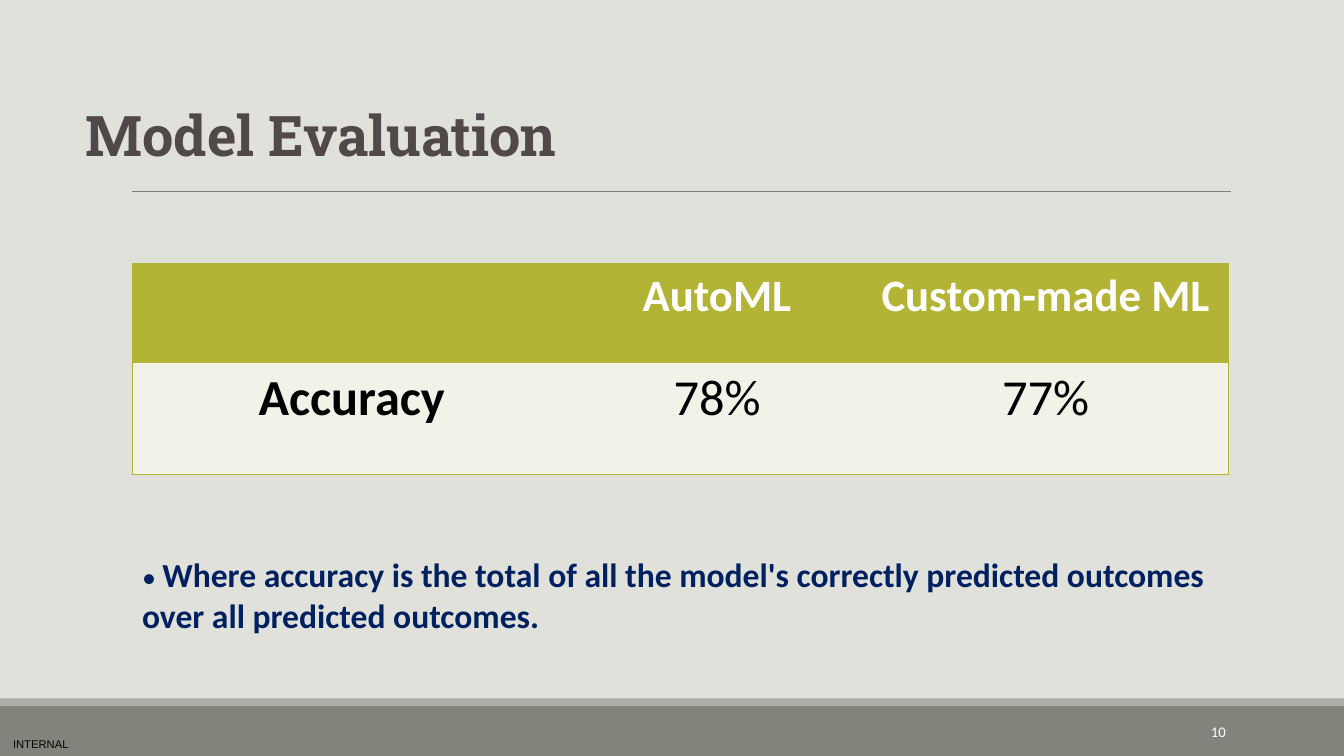
from lxml import etree
from pptx import Presentation
from pptx.dml.color import RGBColor
from pptx.enum.shapes import MSO_CONNECTOR, MSO_SHAPE
from pptx.enum.text import MSO_ANCHOR, MSO_AUTO_SIZE, PP_ALIGN
from pptx.oxml.ns import qn
from pptx.util import Cm, Pt

RECT, STRAIGHT = MSO_SHAPE.RECTANGLE, MSO_CONNECTOR.STRAIGHT
TOP, MIDDLE = MSO_ANCHOR.TOP, MSO_ANCHOR.MIDDLE
LEFT, CENTER, RIGHT = PP_ALIGN.LEFT, PP_ALIGN.CENTER, PP_ALIGN.RIGHT
NO_FIT = MSO_AUTO_SIZE.NONE

BACKDROP, BAR, STRIPE, RULE = "E1E1DB", "82847C", "ACADA8", "808080"
OLIVE, CREAM = "B3B435", "F2F2E8"
WHITE, BLACK, NAVY, BROWN = "FFFFFF", "000000", "002060", "514949"
WIDTH, HEIGHT = 33.87, 19.05


def rgb(value):
    return RGBColor.from_string(value)


class SlideBuilder:
    """Holds the deck style and the current slide, and adds each kind of element."""

    body_font = "Calibri"
    title_font = "Roboto Slab"

    def __init__(self, prs):
        self.s = prs.slides.add_slide(prs.slide_layouts[5])
        fill = self.s.background.fill
        fill.solid()
        fill.fore_color.rgb = rgb(BACKDROP)

    def style(self, r, size, color, bold=False, font=None):
        r.font.name = font or self.body_font
        r.font.size = Pt(size)
        r.font.bold = bold
        r.font.color.rgb = rgb(color)

    def title(self, text, x, y, w, h):
        sp = self.s.shapes.title
        sp.left, sp.top, sp.width, sp.height = Cm(x), Cm(y), Cm(w), Cm(h)
        tf = sp.text_frame
        tf.text = text
        tf.auto_size = NO_FIT
        tf.vertical_anchor = TOP
        tf.margin_left = tf.margin_right = 0
        p = tf.paragraphs[0]
        p.alignment = LEFT
        p.line_spacing = 0.9
        p.space_before, p.space_after = Pt(12), Pt(2)
        self.style(p.runs[0], 40, BROWN, True, self.title_font)

    def band(self, y, h, color):
        sp = self.s.shapes.add_shape(RECT, 0, Cm(y), Cm(WIDTH), Cm(h))
        sp.shadow.inherit = False
        sp.fill.solid()
        sp.fill.fore_color.rgb = rgb(color)
        sp.line.fill.background()

    def rule(self, x1, x2, y):
        line = self.s.shapes.add_connector(STRAIGHT, Cm(x1), Cm(y), Cm(x2), Cm(y))
        line.line.color.rgb = rgb(RULE)
        line.line.width = Pt(0.5)
        etree.SubElement(line._element.spPr, qn("a:effectLst"))

    def text(self, x, y, w, h, runs, align=LEFT, anchor=TOP, margin=0.25):
        tf = self.s.shapes.add_textbox(Cm(x), Cm(y), Cm(w), Cm(h)).text_frame
        tf.word_wrap = True
        tf.vertical_anchor = anchor
        tf.margin_left = tf.margin_right = Cm(margin)
        tf.margin_top = tf.margin_bottom = Cm(margin / 2)
        p = tf.paragraphs[0]
        p.alignment = align
        for text, *look in runs:
            r = p.add_run()
            r.text = text
            self.style(r, *look)

    def border(self, cell, side, visible):
        tcPr = cell._tc.get_or_add_tcPr()
        ln = etree.SubElement(tcPr, qn(f"a:ln{side}"), w=str(Pt(1)))
        if visible:
            fill = etree.SubElement(ln, qn("a:solidFill"))
            etree.SubElement(fill, qn("a:srgbClr"), val=OLIVE)
        else:
            etree.SubElement(ln, qn("a:noFill"))

    def table(self, x, y, widths, heights, rows):
        table = self.s.shapes.add_table(
            len(rows), len(widths), Cm(x), Cm(y), Cm(sum(widths)), Cm(sum(heights))
        ).table
        for column, w in zip(table.columns, widths):
            column.width = Cm(w)
        for i, texts in enumerate(rows):
            table.rows[i].height = Cm(heights[i])
            header = i == 0
            for j, text in enumerate(texts):
                cell = table.cell(i, j)
                self.border(cell, "L", j == 0)
                self.border(cell, "R", j == len(widths) - 1)
                self.border(cell, "T", True)
                self.border(cell, "B", True)
                cell.fill.solid()
                cell.fill.fore_color.rgb = rgb(OLIVE if header else CREAM)
                if text:
                    cell.text = text
                    p = cell.text_frame.paragraphs[0]
                    p.alignment = CENTER
                    size, color = (32, WHITE) if header else (36, BLACK)
                    self.style(p.runs[0], size, color, header or j == 0)


def main():
    prs = Presentation()
    prs.slide_width, prs.slide_height = Cm(WIDTH), Cm(HEIGHT)
    b = SlideBuilder(prs)
    b.band(17.78, 1.27, BAR)
    b.band(17.6, 0.18, STRIPE)
    b.rule(3.33, 31.01, 4.83)
    b.text(0, 18.44, 2.06, 0.61, [("INTERNAL", 8, BLACK, False, "Arial")],
           CENTER, MIDDLE, 0)
    b.text(27.51, 17.93, 3.63, 1.02, [("10", 10.5, WHITE)], RIGHT, MIDDLE)
    b.title("Model Evaluation", 2.16, 2.59, 13.51, 2.08)
    b.table(3.33, 6.65, [11.07, 7.34, 9.22], [2.49, 2.82], [
        ["", "AutoML", "Custom-made ML"],
        ["Accuracy", "78%", "77%"],
    ])
    note = ("Where accuracy is the total of all the model's correctly predicted "
            "outcomes over all predicted outcomes.")
    b.text(3.33, 13.84, 28.35, 2.31, [("• ", 20, NAVY), (note, 24, NAVY, True)])
    prs.save("out.pptx")


if __name__ == "__main__":
    main()
